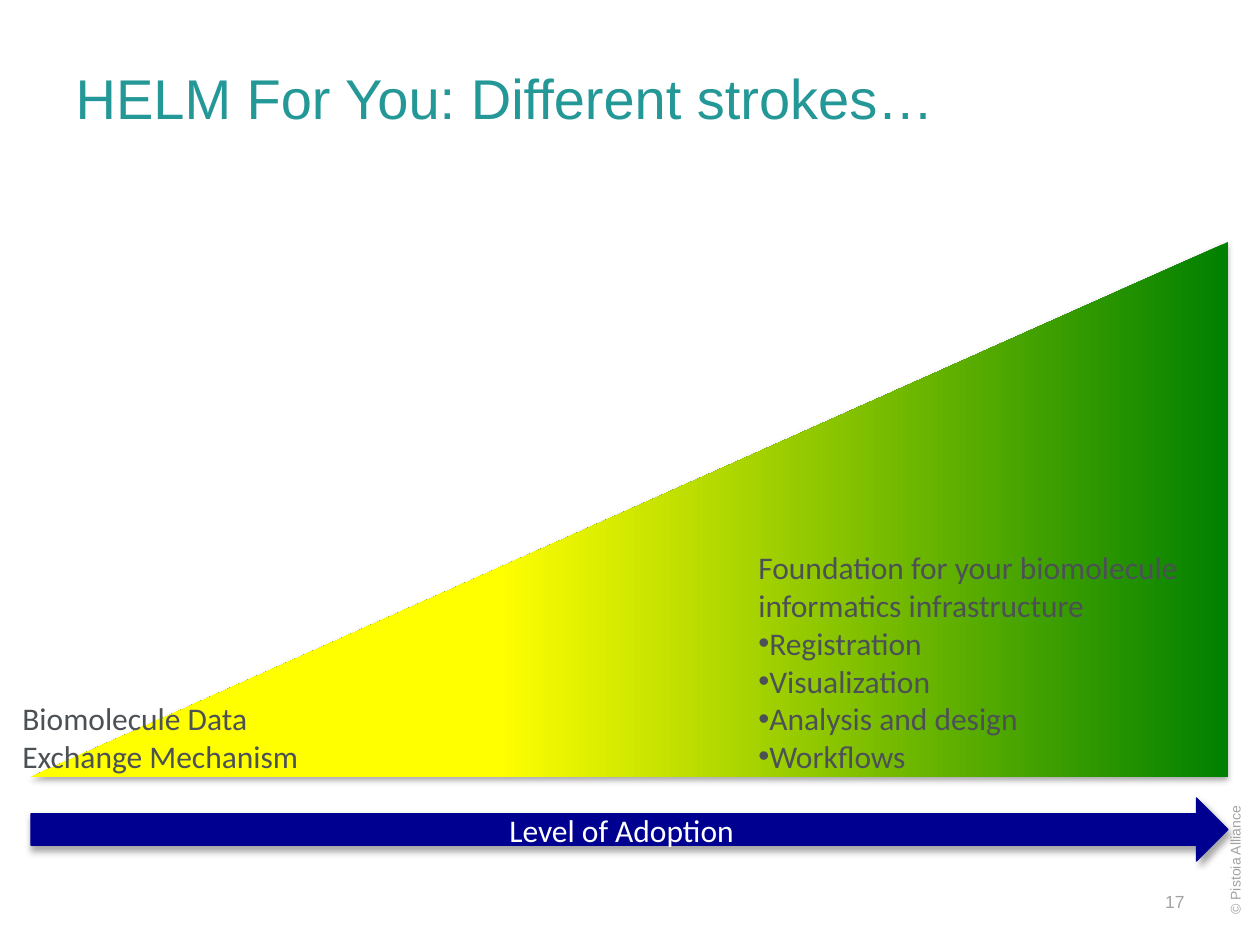
from dataclasses import dataclass

from lxml.etree import SubElement
from pptx import Presentation
from pptx.dml.color import RGBColor
from pptx.enum.shapes import MSO_SHAPE as Shape
from pptx.enum.text import MSO_ANCHOR as Anchor, MSO_AUTO_SIZE as AutoSize, PP_ALIGN as Align
from pptx.oxml.ns import qn
from pptx.util import Emu, Pt

PX_PER_INCH = 126


@dataclass(frozen=True)
class Theme:
    heading_font: str = "Arial"
    body_font: str = "Calibri"
    title: str = "249797"
    body: str = "4C5156"
    footer: str = "A0A3A5"
    light: str = "FFFFFF"
    arrow: str = "000090"
    ramp_high: str = "008000"
    ramp_low: str = "FFFF00"
    shadow: str = "000000"
    title_size: int = 32
    body_size: int = 18
    number_size: int = 10
    copyright_size: int = 8


THEME = Theme()


def px(length):
    return Emu(round(length * 914400 / PX_PER_INCH))


def frame(*lengths):
    return [px(length) for length in lengths]


def rgb(value):
    return RGBColor.from_string(value)


def add_bullet(para):
    """Hang a bullet directly against the text, with no left margin."""
    para.level = 1
    props = para._p.get_or_add_pPr()
    props.set("marL", "0")
    props.set("indent", str(-px(39)))
    SubElement(props, qn("a:buFont"), typeface="Arial")
    SubElement(props, qn("a:buChar"), char="•")


def write(box, lines, font, size, color, align=Align.LEFT, anchor=Anchor.TOP,
          bullets_from=None):
    """Fill a shape with one paragraph per line, bulleted from a given line on."""
    text = box.text_frame
    text.vertical_anchor = anchor
    for index, line in enumerate(lines):
        para = text.paragraphs[0] if index == 0 else text.add_paragraph()
        if bullets_from is not None and index >= bullets_from:
            add_bullet(para)
        para.alignment = align
        span = para.add_run()
        span.text = line
        span.font.name = font
        span.font.size = Pt(size)
        span.font.color.rgb = rgb(color)


def add_text(page, at, lines, font, size, color, wrap=True, grow=False, **layout):
    box = page.shapes.add_textbox(*frame(*at))
    box.text_frame.word_wrap = wrap
    box.text_frame.auto_size = AutoSize.SHAPE_TO_FIT_TEXT if grow else AutoSize.NONE
    write(box, lines, font, size, color, **layout)
    return box


def add_soft_shadow(shape):
    shape.shadow.inherit = False
    effects = shape._element.spPr.find(qn("a:effectLst"))
    shadow = SubElement(effects, qn("a:outerShdw"), blurRad=str(Pt(3.1)),
                        dist=str(Pt(1.8)), dir="5400000", rotWithShape="0")
    color = SubElement(shadow, qn("a:srgbClr"), val=THEME.shadow)
    SubElement(color, qn("a:alpha"), val="35000")


def set_title(page, line):
    title = page.shapes.title
    title.left, title.top, title.width, title.height = frame(63, 49, 974, 97)
    title.text_frame.auto_size = AutoSize.NONE
    write(title, [line], THEME.heading_font, THEME.title_size, THEME.title,
          anchor=Anchor.MIDDLE)


def add_adoption_ramp(page, at):
    ramp = page.shapes.add_shape(Shape.RIGHT_TRIANGLE, *frame(*at))
    ramp._element.spPr.xfrm.set("flipH", "1")
    ramp.fill.gradient()
    ramp.fill.gradient_angle = 0
    stops = [(0, THEME.ramp_high), (0.61, THEME.ramp_low)]
    for stop, (position, color) in zip(ramp.fill.gradient_stops, stops):
        stop.position = position
        stop.color.rgb = rgb(color)
    ramp.line.fill.background()
    add_soft_shadow(ramp)


def add_adoption_arrow(page, at, label):
    arrow = page.shapes.add_shape(Shape.RIGHT_ARROW, *frame(*at))
    arrow.fill.solid()
    arrow.fill.fore_color.rgb = rgb(THEME.arrow)
    arrow.line.color.rgb = rgb(THEME.arrow)
    arrow.line.width = Pt(0.75)
    add_soft_shadow(arrow)
    write(arrow, [label], THEME.body_font, THEME.body_size, THEME.light,
          align=Align.CENTER, anchor=Anchor.MIDDLE)


def main():
    deck = Presentation()
    deck.slide_width, deck.slide_height = frame(1260, 945)
    page = deck.slides.add_slide(deck.slide_layouts.get_by_name("Title Only"))
    body = (THEME.body_font, THEME.body_size, THEME.body)

    copyright_line = add_text(page, (1155, 822, 160, 50), ["© Pistoia Alliance"],
                              THEME.heading_font, THEME.copyright_size, THEME.footer,
                              anchor=Anchor.MIDDLE)
    copyright_line.rotation = 270
    set_title(page, "HELM For You: Different strokes…")
    add_text(page, (1126, 878, 71, 48), ["17"], THEME.heading_font, THEME.number_size,
             THEME.footer, align=Align.RIGHT, anchor=Anchor.MIDDLE)

    add_adoption_ramp(page, (31, 242, 1197, 535))
    add_text(page, (10, 693, 305, 89), ["Biomolecule Data", "Exchange Mechanism"],
             *body, wrap=False, grow=True)
    add_text(page, (746, 542, 494, 242),
             ["Foundation for your biomolecule informatics infrastructure",
              "Registration", "Visualization", "Analysis and design", "Workflows"],
             *body, grow=True, bullets_from=1)
    add_adoption_arrow(page, (31, 798, 1197, 63), "Level of Adoption")

    deck.save("out.pptx")


if __name__ == "__main__":
    main()
